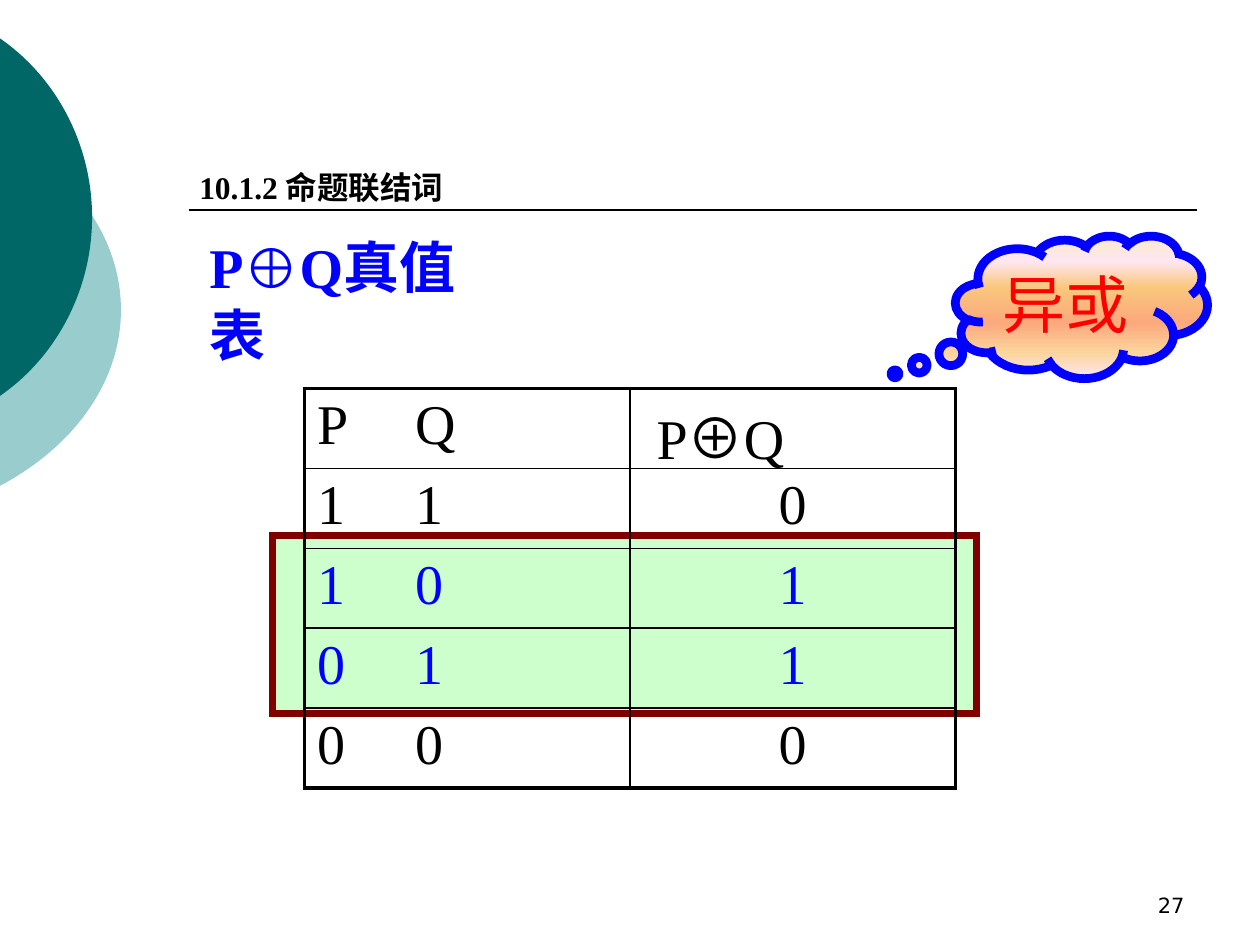
from dataclasses import dataclass

from lxml import etree
from pptx import Presentation
from pptx import util as u
from pptx.dml.color import RGBColor
from pptx.enum import shapes, text
from pptx.oxml.ns import qn

COLORS = {
    "teal": "006666", "mist": "99CCCC", "black": "000000", "blue": "0000FF",
    "red": "FF0000", "maroon": "800000", "mint": "CCFFCC",
}
CLOUD_STOPS = {0: "FBEAC7", 18: "FEE7F2", 36: "FAC77D", 61: "FBA97D", 82: "FBD49C", 100: "FEE7F2"}
SERIF, CJK, SANS = "Times New Roman", "Noto Sans CJK SC", "DejaVu Sans"


@dataclass
class Run:
    text: str
    size: float
    color: str = "black"
    font: str = SERIF
    bold: bool = False


@dataclass
class Label:
    box: tuple
    runs: list
    align: text.PP_ALIGN = text.PP_ALIGN.LEFT
    anchor: text.MSO_ANCHOR = text.MSO_ANCHOR.TOP


@dataclass
class Disc:
    color: str
    box: tuple
    arc: tuple


DISCS = [
    Disc("mist", (-254.9, 54, 324, 246.2),
         ((-0.5, 76.3), (43.2, 99.4), (69.1, 136.8), (69.1, 177.1))),
    Disc("teal", (-190.8, 0, 243.4, 248.4),
         ((-0.5, 21.6), (33, 44.6), (52.6, 83.5), (52.6, 124.1))),
]
LABELS = [
    Label((106.8, 92.4, 199.5, 29), [Run("10.1.2 ", 18, bold=True),
                                     Run("命题联结词", 18, font=CJK, bold=True)]),
    Label((112.6, 129.6, 186.5, 45.4), [Run("P⊕Q真值表", 32, "blue", bold=True)]),
    Label((516, 492, 168, 36), [Run("27", 12, font=SANS)],
          text.PP_ALIGN.RIGHT, text.MSO_ANCHOR.BOTTOM),
]
TRUTH_ROWS = [(1, 1), (1, 0), (0, 1), (0, 0)]


def rgb(name: str) -> RGBColor:
    """Look up a named colour."""
    return RGBColor.from_string(COLORS[name])


def pts(*values: float) -> list:
    """Convert numbers to point lengths."""
    return [u.Pt(v) for v in values]


def add_runs(p, runs: list) -> None:
    """Append formatted runs to a paragraph."""
    for item in runs:
        r = p.add_run()
        r.text = item.text
        r.font.size, r.font.bold, r.font.name = u.Pt(item.size), item.bold, item.font
        r.font.color.rgb = rgb(item.color)
        if item.font == CJK:
            etree.SubElement(r._r.get_or_add_rPr(), qn("a:ea"), typeface=CJK)


def add_disc(s, disc: Disc) -> None:
    """Draw a disc's edge segment as one Bezier arc and its mirror."""
    left, top, width, height = disc.box
    middle = disc.arc[-1][1]
    mirror = [(x, 2 * middle - y) for x, y in reversed(disc.arc[:-1])]
    builder = s.shapes.build_freeform(*disc.arc[0], scale=float(u.Pt(1)))
    builder.add_line_segments([disc.arc[-1], mirror[-1]], close=True)
    sp = builder.convert_to_shape()
    sp.left, sp.top, sp.width, sp.height = pts(*disc.box)
    outline = sp._element.spPr.find(".//" + qn("a:pathLst"))[0]
    outline.set("w", str(u.Pt(width)))
    outline.set("h", str(u.Pt(height)))
    for command in list(outline):
        outline.remove(command)
    for tag, points in (("moveTo", disc.arc[:1]), ("cubicBezTo", disc.arc[1:]),
                        ("cubicBezTo", mirror), ("close", ())):
        command = etree.SubElement(outline, qn(f"a:{tag}"))
        for x, y in points:
            etree.SubElement(command, qn("a:pt"), x=str(u.Pt(x - left)), y=str(u.Pt(y - top)))
    sp.shadow.inherit = False
    sp.fill.solid()
    sp.fill.fore_color.rgb = rgb(disc.color)
    sp.line.fill.background()


def add_label(s, label: Label) -> None:
    """Add a wrapped text box."""
    tf = s.shapes.add_textbox(*pts(*label.box)).text_frame
    tf.word_wrap = True
    tf.vertical_anchor = label.anchor
    tf.paragraphs[0].alignment = label.align
    add_runs(tf.paragraphs[0], label.runs)


def add_rule(s) -> None:
    """Draw the line under the heading."""
    line = s.shapes.add_connector(shapes.MSO_CONNECTOR.STRAIGHT, *pts(108, 120, 684, 120))
    line.line.color.rgb = rgb("black")
    line.line.width = u.Pt(1)
    etree.SubElement(line._element.spPr, qn("a:effectLst"))


def add_outlined(s, kind, box: tuple, color: str, width: float):
    """Add a preset shape with a coloured outline."""
    sp = s.shapes.add_shape(kind, *pts(*box))
    sp.shadow.inherit = False
    sp.line.color.rgb = rgb(color)
    sp.line.width = u.Pt(width)
    return sp


def add_band(s) -> None:
    """Draw the sharp-cornered band behind the true rows."""
    sp = add_outlined(s, shapes.MSO_SHAPE.RECTANGLE, (156, 306, 402, 102), "maroon", 4)
    sp.fill.solid()
    sp.fill.fore_color.rgb = rgb("mint")
    etree.SubElement(sp._element.spPr.find(qn("a:ln")), qn("a:miter"), lim="800000")


def add_cloud(s) -> None:
    """Draw the cloud callout with its banded gradient."""
    sp = add_outlined(s, shapes.MSO_SHAPE.CLOUD_CALLOUT, (546, 134.7, 144, 81.4), "blue", 5)
    sp.adjustments[0], sp.adjustments[1] = -0.74, 0.47
    sp.fill.gradient()
    sp.fill.gradient_angle = 270
    stops = sp._element.spPr.find(".//" + qn("a:gsLst"))
    for old in list(stops):
        stops.remove(old)
    for percent, color in CLOUD_STOPS.items():
        stop = etree.SubElement(stops, qn("a:gs"), pos=str(percent * 1000))
        etree.SubElement(stop, qn("a:srgbClr"), val=color)
    tf = sp.text_frame
    tf.word_wrap = True
    tf.vertical_anchor = text.MSO_ANCHOR.MIDDLE
    tf.paragraphs[0].alignment = text.PP_ALIGN.LEFT
    add_runs(tf.paragraphs[0], [Run("异或", 36, "red")])


def style_cell(cell, outer: dict) -> None:
    """Clear the cell's fill and draw thick outer and thin inner borders."""
    tcPr = cell._tc.get_or_add_tcPr()
    for side, is_outer in outer.items():
        width = u.Pt(2.25 if is_outer else 1)
        ln = etree.SubElement(tcPr, qn(f"a:ln{side}"), w=str(int(width)))
        fill = etree.SubElement(ln, qn("a:solidFill"))
        etree.SubElement(fill, qn("a:srgbClr"), val=COLORS["black"])
    cell.fill.background()


def add_truth_table(s) -> None:
    """Add the truth table, with the true rows in blue."""
    count = len(TRUTH_ROWS) + 1
    height = 45.6
    table = s.shapes.add_table(count, 2, *pts(174, 222, 372, height * count)).table
    table.first_row = table.horz_banding = False
    rows = [("P\tQ", [Run("P", 32), Run("⊕", 32, font=CJK), Run("Q", 32)], "black")]
    for a, b in TRUTH_ROWS:
        color = "blue" if a ^ b else "black"
        rows.append((f"{a}\t{b}", [Run(str(a ^ b), 32, color)], color))
    for i, (inputs, result, color) in enumerate(rows):
        table.rows[i].height = u.Pt(height)
        for j, runs in enumerate(([Run(inputs, 32, color)], result)):
            cell = table.cell(i, j)
            style_cell(cell, {"L": j == 0, "R": j == 1, "T": i == 0, "B": i == count - 1})
            p = cell.text_frame.paragraphs[0]
            if j == 0:
                tabs = etree.SubElement(p._p.get_or_add_pPr(), qn("a:tabLst"))
                etree.SubElement(tabs, qn("a:tab"), pos=str(int(u.Pt(56))), algn="l")
            elif i:
                p.alignment = text.PP_ALIGN.CENTER
            else:
                cell.margin_left = u.Pt(15.2)
            add_runs(p, runs)


def main() -> None:
    """Build the slide and save it."""
    prs = Presentation()
    prs.slide_width, prs.slide_height = pts(720, 540)
    s = prs.slides.add_slide(prs.slide_layouts[6])
    for disc in DISCS:
        add_disc(s, disc)
    add_rule(s)
    add_band(s)
    for label in LABELS:
        add_label(s, label)
    add_truth_table(s)
    add_cloud(s)
    prs.save("out.pptx")


if __name__ == "__main__":
    main()
